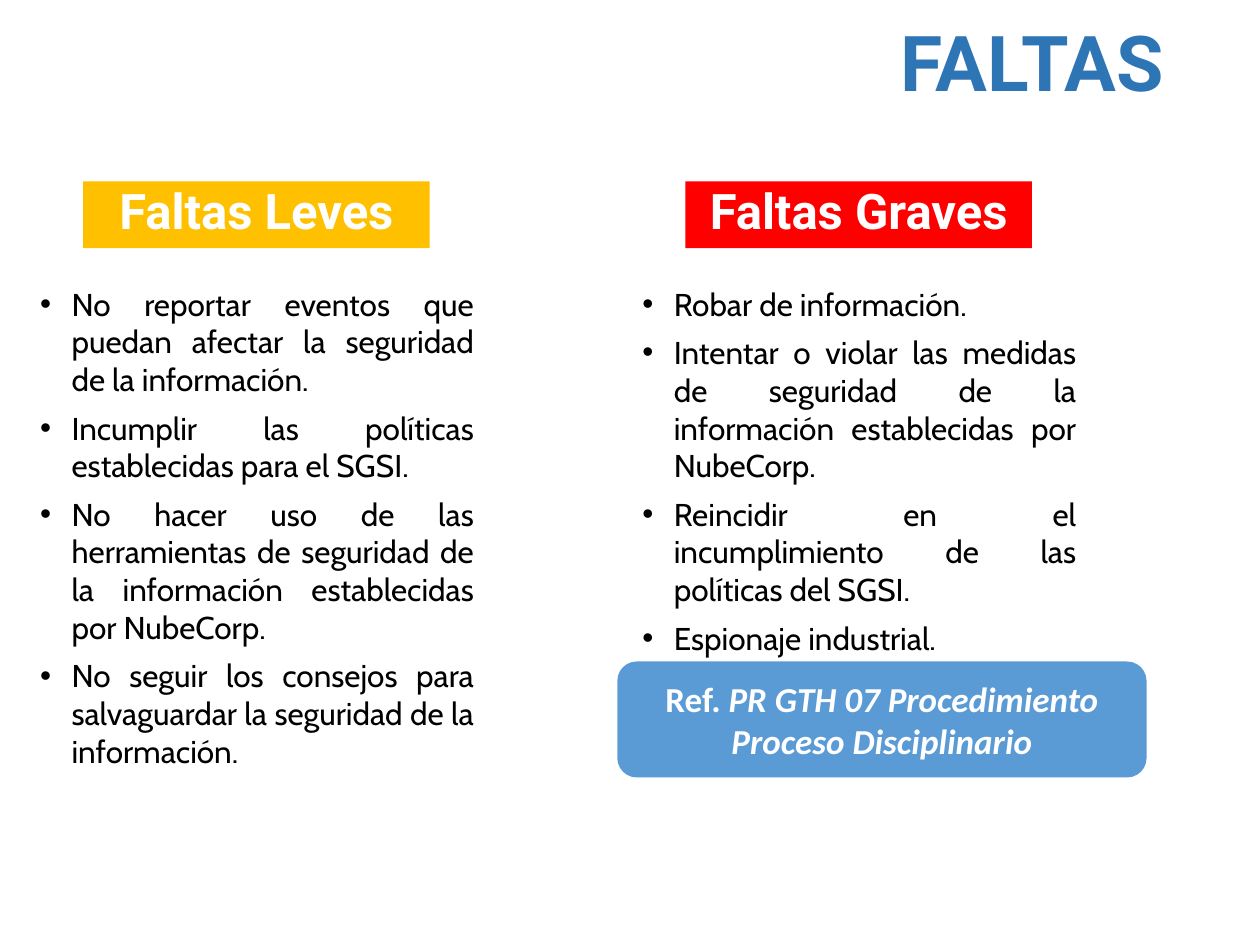
from lxml.etree import SubElement
from pptx import Presentation
from pptx.dml.color import RGBColor
from pptx.enum.shapes import MSO_SHAPE
from pptx.enum.text import MSO_ANCHOR, MSO_AUTO_SIZE, PP_ALIGN
from pptx.oxml.ns import qn
from pptx.util import Inches, Pt

WHITE = RGBColor(0xFF, 0xFF, 0xFF)
BLACK = RGBColor(0, 0, 0)
AMBER = RGBColor(0xFF, 0xC0, 0x00)
RED = RGBColor(0xFF, 0, 0)
TITLE_BLUE = RGBColor(0x2E, 0x75, 0xB6)
BOX_BLUE = RGBColor(0x5B, 0x9B, 0xD5)

TITLE = "FALTAS"
COLUMNS = [
    (0.22, 4.6, "Faltas Leves", AMBER, [
        "No reportar eventos que puedan afectar la seguridad de la información.",
        "Incumplir las políticas establecidas para el SGSI.",
        "No hacer uso de las herramientas de seguridad de la información establecidas por NubeCorp.",
        "No seguir los consejos para salvaguardar la seguridad de la información.",
    ]),
    (5.0, 2.43, "Faltas Graves", RED, [
        "Robar de información.",
        "Intentar o violar las medidas de seguridad de la información establecidas por NubeCorp.",
        "Reincidir en el incumplimiento de las políticas del SGSI.",
        "Espionaje industrial.",
    ]),
]
REFERENCE = [("Ref. ", False), ("PR GTH 07 Procedimiento Proceso Disciplinario", True)]
HEADER_INDENT = 0.44


def format_paragraph(paragraph, font, size, color, bold=True, align=PP_ALIGN.CENTER):
    paragraph.alignment = align
    paragraph.font.name = font
    paragraph.font.size = Pt(size)
    paragraph.font.bold = bold
    paragraph.font.color.rgb = color


def write_heading(shape, text, size, color):
    frame = shape.text_frame
    frame.text = text
    frame.word_wrap = True
    frame.auto_size = MSO_AUTO_SIZE.NONE
    frame.vertical_anchor = MSO_ANCHOR.TOP
    paragraph = frame.paragraphs[0]
    paragraph.line_spacing = 0.9
    format_paragraph(paragraph, "Roboto", size, color)


def add_box(slide, preset, left, top, width, height, color):
    shape = slide.shapes.add_shape(
        preset, Inches(left), Inches(top), Inches(width), Inches(height))
    shape.shadow.inherit = False
    shape.fill.solid()
    shape.fill.fore_color.rgb = color
    shape.line.fill.background()
    return shape


def add_bullet_list(slide, left, height, items):
    box = slide.shapes.add_textbox(
        Inches(left), Inches(2.21), Inches(3.64), Inches(height))
    frame = box.text_frame
    frame.word_wrap = True
    frame.text = "\n".join(items)
    for paragraph in frame.paragraphs:
        format_paragraph(paragraph, "Cabin", 18, BLACK, False, PP_ALIGN.JUSTIFY)
        paragraph.space_before = Pt(6)
        properties = paragraph._p.get_or_add_pPr()
        properties.set("marL", str(Inches(0.25)))
        properties.set("indent", str(Inches(-0.25)))
        bullet_font = SubElement(properties, qn("a:buFont"))
        bullet_font.set("typeface", "Arial")
        bullet = SubElement(properties, qn("a:buChar"))
        bullet.set("char", "•")
        properties.append(properties.find(qn("a:defRPr")))


presentation = Presentation()
presentation.slide_width = Inches(10)
presentation.slide_height = Inches(7.5)
slide = presentation.slides.add_slide(presentation.slide_layouts[5])

title = slide.shapes.title
title.left, title.top = Inches(6.47), Inches(0.15)
title.width, title.height = Inches(3.45), Inches(0.53)
write_heading(title, TITLE, 44, TITLE_BLUE)

for left, height, heading, color, items in COLUMNS:
    header = add_box(slide, MSO_SHAPE.RECTANGLE, left + HEADER_INDENT, 1.44, 2.75, 0.53, color)
    write_heading(header, heading, 28, WHITE)
    add_bullet_list(slide, left, height, items)

reference = add_box(slide, MSO_SHAPE.ROUNDED_RECTANGLE, 4.9, 5.25, 4.2, 0.92, BOX_BLUE)
reference.text_frame.word_wrap = True
reference.text_frame.vertical_anchor = MSO_ANCHOR.MIDDLE
paragraph = reference.text_frame.paragraphs[0]
format_paragraph(paragraph, "Calibri", 20, WHITE)
for text, italic in REFERENCE:
    run = paragraph.add_run()
    run.text = text
    run.font.italic = italic

presentation.save("out.pptx")
